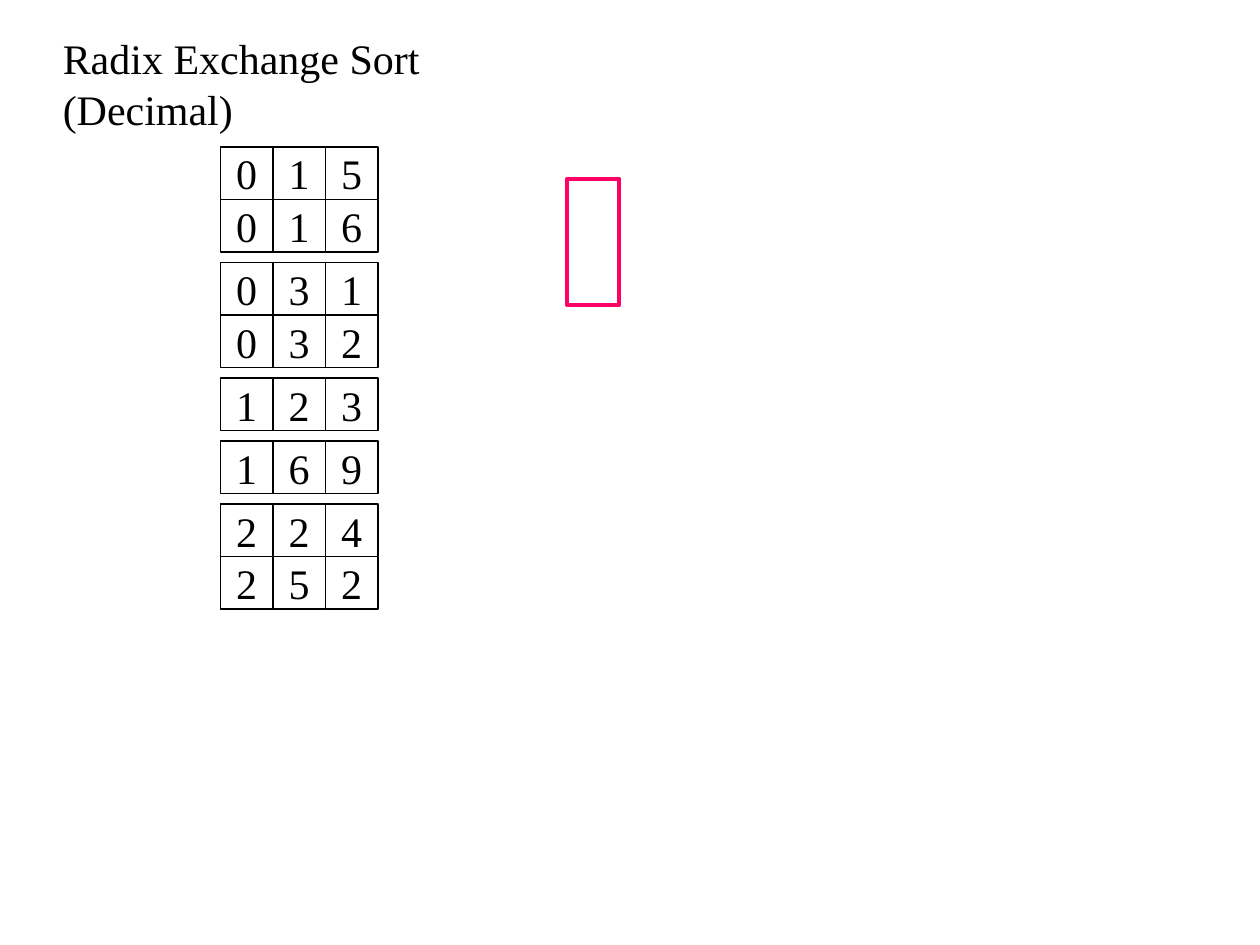
from pptx import Presentation
from pptx.dml.color import RGBColor
from pptx.enum.shapes import MSO_SHAPE
from pptx.enum.text import MSO_ANCHOR, MSO_AUTO_SIZE, PP_ALIGN
from pptx.util import Inches, Pt

RECT = MSO_SHAPE.RECTANGLE
LEFT, CENTER = PP_ALIGN.LEFT, PP_ALIGN.CENTER
TOP, MIDDLE = MSO_ANCHOR.TOP, MSO_ANCHOR.MIDDLE
GROW = MSO_AUTO_SIZE.SHAPE_TO_FIT_TEXT

TITLE = "Radix Exchange Sort (Decimal)"
BUCKETS = [["015", "016"], ["031", "032"], ["123"], ["169"], ["224", "252"]]
COLORS = {"ink": "000000", "mark": "FF0066"}
FONT = "Times New Roman"
CELL = 5 / 12
GAP = 1 / 12
GRID_X, GRID_Y = 1.75, 14 / 12


def write(shape, text, size=24, color="ink", align=LEFT, anchor=TOP):
    frame = shape.text_frame
    frame.word_wrap = False
    frame.vertical_anchor = anchor
    para = frame.paragraphs[0]
    para.alignment = align
    run = para.add_run()
    run.text = text
    run.font.name = FONT
    run.font.size = Pt(size)
    run.font.color.rgb = RGBColor.from_string(COLORS[color])


def box(shapes, x, y, width, height, color, weight):
    shape = shapes.add_shape(RECT, Inches(x), Inches(y), Inches(width), Inches(height))
    shape.shadow.inherit = False
    shape.fill.background()
    shape.line.color.rgb = RGBColor.from_string(COLORS[color])
    shape.line.width = Pt(weight)
    return shape


def main():
    deck = Presentation()
    deck.slide_width, deck.slide_height = Inches(10), Inches(7.5)
    slide = deck.slides.add_slide(deck.slide_layouts[6])

    title = slide.shapes.add_textbox(Inches(0.4), Inches(0.21), Inches(4.46), Inches(0.5))
    write(title, TITLE)
    title.text_frame.auto_size = GROW

    y = GRID_Y
    for bucket in BUCKETS:
        for number in bucket:
            row = slide.shapes.add_group_shape()
            for col, digit in enumerate(number):
                cell = box(row.shapes, GRID_X + col * CELL, y, CELL, CELL, "ink", 0.75)
                write(cell, digit, align=CENTER, anchor=MIDDLE)
            y += CELL
        y += GAP

    box(slide.shapes, 4.5, 1.42, CELL, 1, "mark", 2.25)
    deck.save("out.pptx")


if __name__ == "__main__":
    main()
